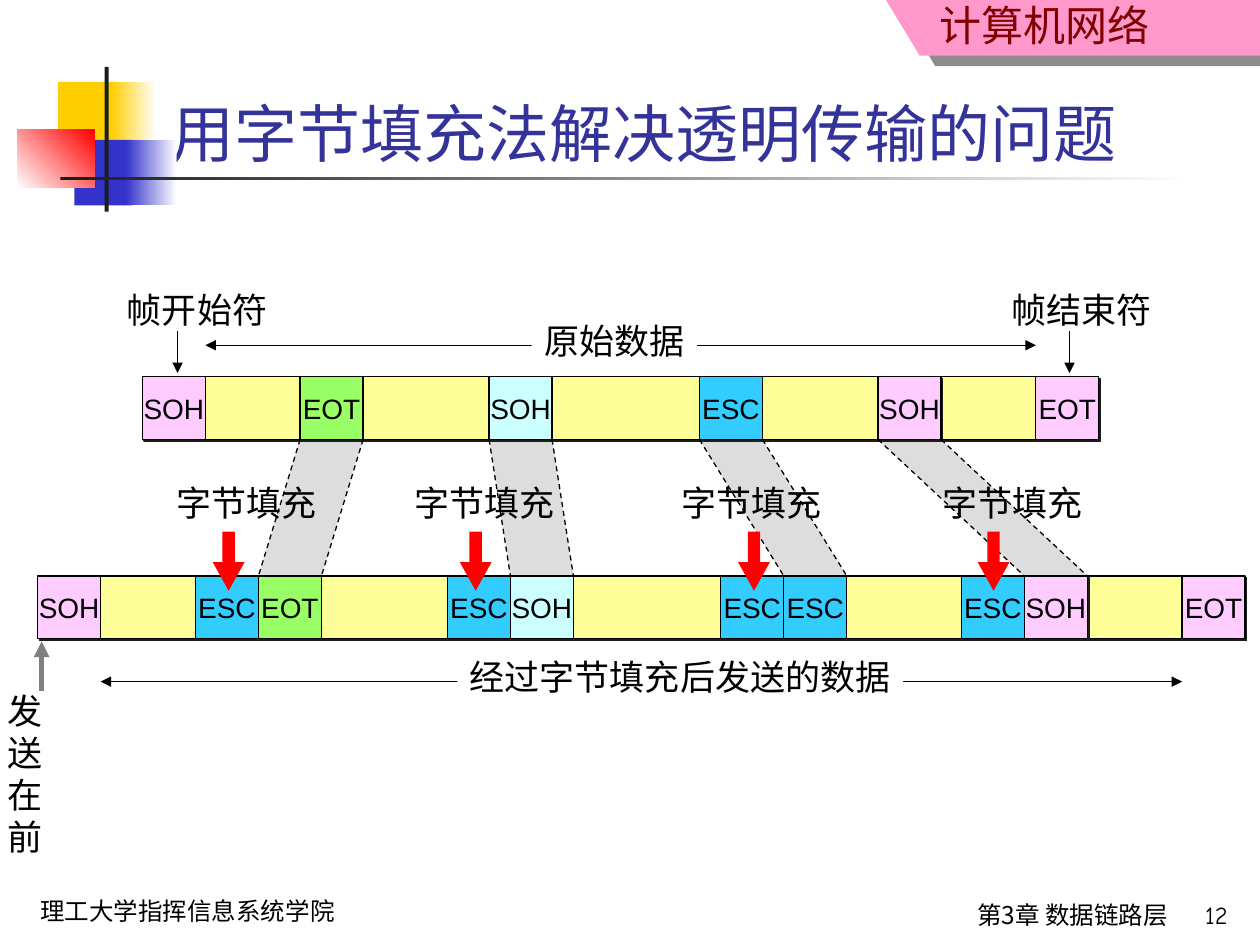
"""Build the slide on byte stuffing for transparent transmission."""
from lxml import etree
from pptx import Presentation, util as u
from pptx.dml.color import RGBColor
from pptx.enum import dml, shapes, text
from pptx.oxml.ns import qn

BLACK, WHITE, DARK = "000000", "FFFFFF", "1C1C1C"
PINK, YELLOW, GREEN = "FFCCFF", "FFFF99", "99FF66"
CYAN, BLUE, GRAY = "CCFFFF", "33CCFF", "DDDDDD"
RED, GOLD, INDIGO = "FF0000", "FFCF01", "3333CC"
RECT = shapes.MSO_SHAPE.RECTANGLE
LEFT, CENTER, RIGHT = (text.PP_ALIGN.LEFT, text.PP_ALIGN.CENTER,
                       text.PP_ALIGN.RIGHT)


def rgb(value):
    return RGBColor.from_string(value)


class Deck:
    def __init__(self, s, font="Arial"):
        self.s = s
        self.font = font

    def set_text(self, sp, words, size, align=LEFT, color=BLACK, font=None):
        sp.text_frame.text = words
        for p in sp.text_frame.paragraphs:
            p.alignment = align
            p.font.size = u.Pt(size)
            p.font.name = font or self.font
            p.font.color.rgb = rgb(color)

    def title(self, words, *box):
        sp = self.s.shapes.title
        sp.left, sp.top, sp.width, sp.height = map(u.Cm, box)
        sp.text_frame.vertical_anchor = text.MSO_ANCHOR.BOTTOM
        self.set_text(sp, words, 36, color="333399")

    def label(self, words, x, y, w, h=1.12, size=20, align=LEFT, wrap=False,
              fill=None, color=BLACK, font=None):
        sp = self.s.shapes.add_textbox(*map(u.Cm, (x, y, w, h)))
        sp.text_frame.word_wrap = wrap
        if fill:
            sp.fill.solid()
            sp.fill.fore_color.rgb = rgb(fill)
        self.set_text(sp, words, size, align, color, font)
        return sp

    def shape(self, x, y, w, h, fill, kind=RECT):
        sp = self.s.shapes.add_shape(kind, *map(u.Cm, (x, y, w, h)))
        sp.shadow.inherit = False
        sp.fill.solid()
        sp.fill.fore_color.rgb = rgb(fill)
        sp.line.fill.background()
        return sp

    def gradient(self, x, y, w, h, start, end, angle=0):
        fill = self.shape(x, y, w, h, start).fill
        fill.gradient()
        fill.gradient_angle = angle
        for stop, color in zip(fill.gradient_stops, (start, end)):
            stop.color.rgb = rgb(color)

    def shadow(self, sp, dist, angle, alpha=100):
        effects = sp._element.spPr.find(qn("a:effectLst"))
        outer = etree.SubElement(effects, qn("a:outerShdw"), blurRad="0",
                                 dist=str(u.Pt(dist)), dir=str(angle * 60000),
                                 algn="ctr", rotWithShape="0")
        color = etree.SubElement(outer, qn("a:srgbClr"), val=DARK)
        etree.SubElement(color, qn("a:alpha"), val=str(alpha * 1000))

    def cell(self, words, x, y, fill, w=1.27):
        sp = self.shape(x, y, w, 1.27, fill)
        sp.line.color.rgb = rgb(BLACK)
        sp.line.width = u.Pt(0.75)
        if fill in (PINK, YELLOW):
            self.shadow(sp, 1.4, 45)
        if words:
            sp.text_frame.word_wrap = False
            sp.text_frame.vertical_anchor = text.MSO_ANCHOR.MIDDLE
            self.set_text(sp, words, 16, CENTER)

    def polygon(self, points, fill):
        pts = [(u.Cm(x), u.Cm(y)) for x, y in points]
        builder = self.s.shapes.build_freeform(*pts[0])
        builder.add_line_segments(pts[1:])
        sp = builder.convert_to_shape()
        sp.shadow.inherit = False
        sp.fill.solid()
        sp.fill.fore_color.rgb = rgb(fill)
        sp.line.fill.background()
        return sp

    def line(self, x1, y1, x2, y2, ends=(), dash=False, color=BLACK, width=0.75):
        c = self.s.shapes.add_connector(shapes.MSO_CONNECTOR.STRAIGHT,
                                        *map(u.Cm, (x1, y1, x2, y2)))
        c.line.color.rgb = rgb(color)
        c.line.width = u.Pt(width)
        if dash:
            c.line.dash_style = dml.MSO_LINE.DASH
        for end in ends:
            etree.SubElement(c.line._get_or_add_ln(), qn("a:" + end),
                             type="triangle")
        etree.SubElement(c._element.spPr, qn("a:effectLst"))


def decorate(d):
    d.shape(1.17, 1.65, 1.22, 1.32, GOLD)
    d.gradient(2.24, 1.65, 0.91, 1.32, GOLD, WHITE)
    d.shape(1.5, 2.82, 1.17, 1.32, INDIGO)
    d.gradient(2.54, 2.82, 1.02, 1.32, INDIGO, WHITE)
    d.gradient(0.36, 2.62, 1.55, 1.17, WHITE, RED, 45)
    d.shape(2.11, 1.35, 0.08, 2.92, DARK)
    d.gradient(1.22, 3.56, 22.86, 0.08, DARK, WHITE)
    banner = d.polygon([(17.86, 0), (18.54, 1.12), (25.4, 1.12), (25.4, 0)],
                       "FF99CC")
    d.shadow(banner, 10.8, 34, 50)
    sp = d.label("计算机网络", 14.78, 0, 8.64, size=24, align=RIGHT, wrap=True,
                 color="800000", font="Noto Sans CJK SC")
    sp.text_frame.margin_top = 0
    d.label("理工大学指挥信息系统学院", 0.56, 17.93, 7.9, 0.86, 14, wrap=True,
            font="Comic Neue")
    d.label("第3章 数据链路层", 10.9, 18.01, 12.9, 1.04, 14, RIGHT, True,
            font="Noto Sans CJK SC")
    d.label("12", 22.99, 18.01, 2.01, 0.97, 14, RIGHT, True, font="Comic Neue")


def draw_frames(d):
    cell, top, bottom = 1.27, 7.59, 11.61
    base = top + cell
    stuffed = [("EOT", GREEN, 6.05, 3.94, 3.3, 4.29),
               ("SOH", CYAN, 9.86, 9.02, 8.1, 9.27),
               ("ESC", BLUE, 14.1, 14.53, 13.49, 14.88),
               ("SOH", PINK, 17.7, 19.38, 18.75, 19.71)]
    for _, _, x, esc, _, _ in stuffed:
        sent = esc + cell
        d.polygon([(sent, bottom), (sent + cell, bottom), (x + cell, base),
                   (x, base)], GRAY)
    for y, start, end in ((top, 2.87, 20.88), (bottom, 0.76, 23.83)):
        d.cell("SOH", start, y, PINK)
        d.cell("", start + cell, y, YELLOW, end - start - cell)
        d.cell("EOT", end, y, PINK)
    for words, fill, x, esc, note, arrow in stuffed:
        sent = esc + cell
        d.cell(words, x, top, fill)
        d.cell("ESC", esc, bottom, BLUE)
        d.cell(words, sent, bottom, fill)
        for dx in (0, cell):
            d.line(x + dx, base, sent + dx, bottom, dash=True)
        d.label("字节填充", note, 9.58, 3.33)
        sp = d.shape(arrow, 10.72, 0.64, 1.19, RED, shapes.MSO_SHAPE.DOWN_ARROW)
        sp.adjustments[0], sp.adjustments[1] = 0.39, 0.9


def annotate(d):
    both = ("headEnd", "tailEnd")
    d.line(4.14, 6.96, 20.88, 6.96, both)
    d.label("原始数据", 10.72, 6.32, 3.33, fill=WHITE)
    d.line(2.03, 13.74, 23.83, 13.74, both)
    d.label("经过字节填充后发送的数据", 9.22, 13.08, 8.99, fill=WHITE)
    for words, x, arrow in (("帧开始符", 2.31, 3.58), ("帧结束符", 20.14, 21.56)):
        d.label(words, x, 5.69, 3.33)
        d.line(arrow, 6.68, arrow, 7.52, both[1:])
    d.line(0.84, 13.92, 0.84, 12.93, both[1:], color="808080", width=3)
    d.label("发送\n在前", -0.1, 13.77, 1.91, 1.96)


def main():
    prs = Presentation()
    prs.slide_width, prs.slide_height = u.Cm(25.4), u.Cm(19.05)
    d = Deck(prs.slides.add_slide(prs.slide_layouts[5]))
    decorate(d)
    d.title("用字节填充法解决透明传输的问题", 3.2, 0.84, 20.29, 2.72)
    draw_frames(d)
    annotate(d)
    prs.save("out.pptx")


if __name__ == "__main__":
    main()
